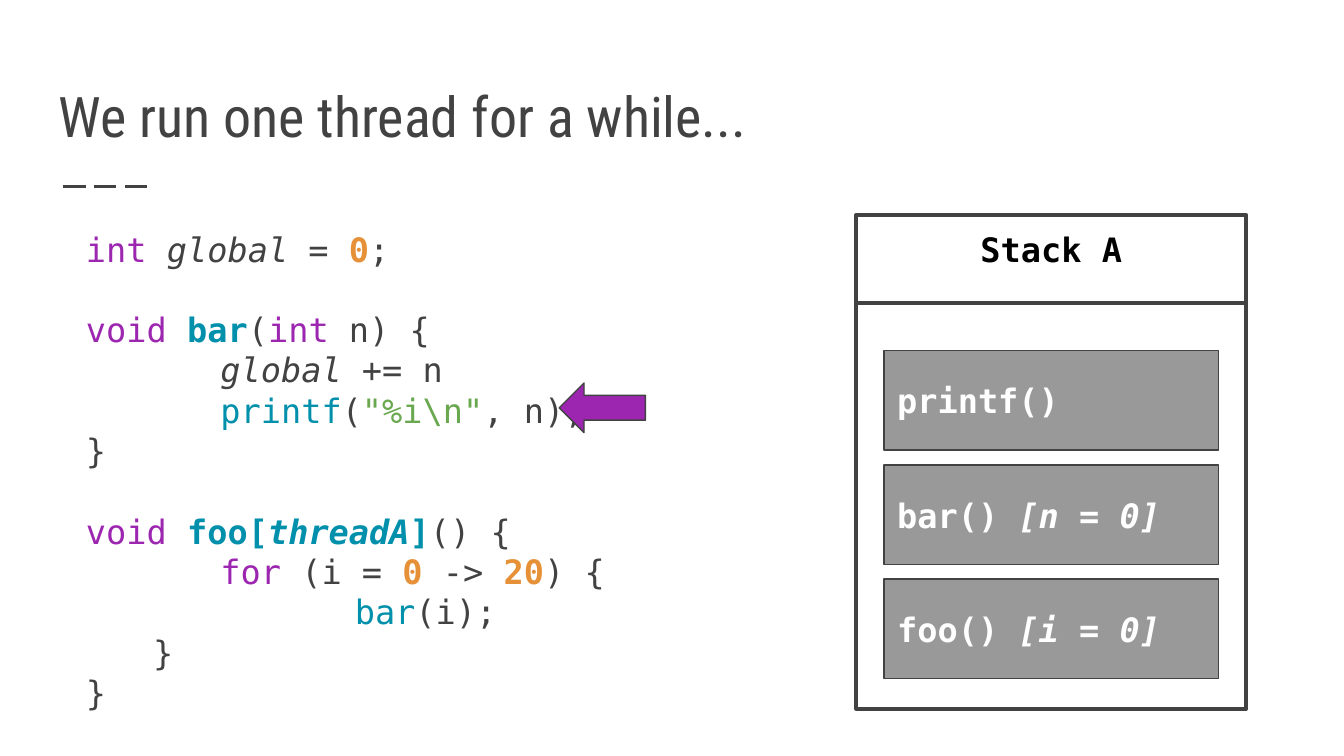
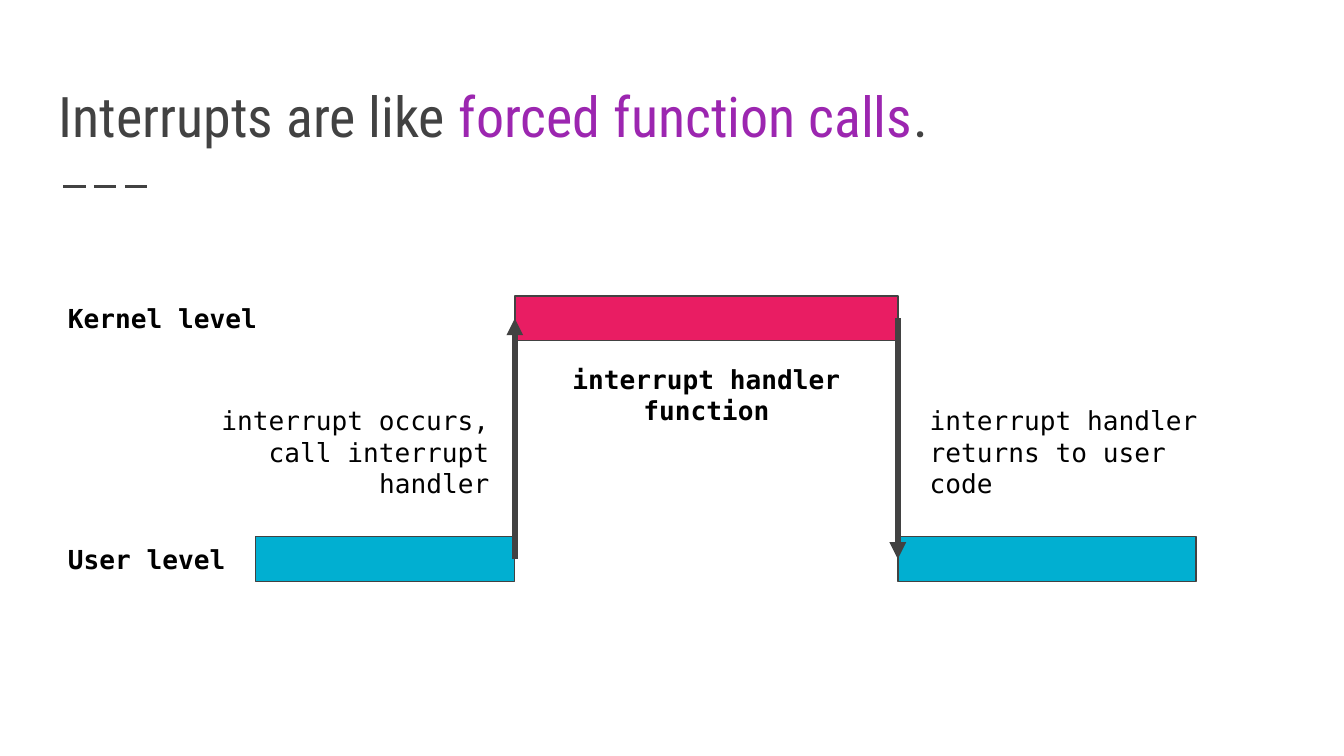
from dataclasses import dataclass
from typing import NamedTuple

from lxml import etree
from pptx import Presentation
from pptx import util as u
from pptx.dml.color import RGBColor
from pptx.enum import dml, shapes, text
from pptx.oxml import ns

# Shared look
INK, BLACK, WHITE, GREY = "424242", "000000", "FFFFFF", "999999"
PURPLE, TEAL, ORANGE, GREEN = "9C26B0", "0090AC", "E69138", "6AA84F"
CYAN, PINK = "01AFD1", "E91D63"
MONO, TITLE_FONT = "DejaVu Sans Mono", "Roboto Condensed"
INSET = 7.2
LINE_RATIO = 1.2
TAB = 72
LEFT, CENTER, RIGHT = text.PP_ALIGN.LEFT, text.PP_ALIGN.CENTER, text.PP_ALIGN.RIGHT
TOP, MIDDLE, BOTTOM = text.MSO_ANCHOR.TOP, text.MSO_ANCHOR.MIDDLE, text.MSO_ANCHOR.BOTTOM
RECT = shapes.MSO_SHAPE.RECTANGLE


class Run(NamedTuple):
    words: str
    color: str = INK
    bold: bool = False
    italic: bool = False


class Box(NamedTuple):
    left: float
    top: float
    width: float
    height: float


@dataclass
class Line:
    runs: list[Run]
    tabs: float = 0
    gap: bool = False  # leaves one line free above


@dataclass
class Style:
    size: float = 14
    font: str = MONO
    align: text.PP_ALIGN = LEFT
    anchor: text.MSO_ANCHOR = TOP
    left_inset: float = INSET


@dataclass
class Note:
    box: Box
    run: Run
    style: Style


def rgb(color: str) -> RGBColor:
    return RGBColor.from_string(color)


def write(shape, lines: list[Line], style: Style) -> None:
    frame = shape.text_frame
    frame.word_wrap = True
    frame.vertical_anchor = style.anchor
    frame.margin_left = u.Pt(style.left_inset)
    frame.margin_right = frame.margin_top = frame.margin_bottom = u.Pt(INSET)
    for index, line in enumerate(lines):
        paragraph = frame.add_paragraph() if index else frame.paragraphs[0]
        paragraph.alignment = style.align
        if style.font == MONO:
            paragraph.line_spacing = u.Pt(style.size * LINE_RATIO)
        if line.gap:
            paragraph.space_before = u.Pt(style.size * LINE_RATIO)
        if line.tabs:
            paragraph._p.get_or_add_pPr().set("marL", str(u.Pt(line.tabs * TAB)))
        for part in line.runs:
            run = paragraph.add_run()
            run.text = part.words
            run.font.name, run.font.size = style.font, u.Pt(style.size)
            run.font.bold, run.font.italic = part.bold, part.italic
            run.font.color.rgb = rgb(part.color)


def add_text(slide, box: Box, lines: list[Line], style: Style) -> None:
    write(slide.shapes.add_textbox(*map(u.Pt, box)), lines, style)


def add_block(slide, box: Box, fill: str, weight: float = 0.75, kind=RECT):
    block = slide.shapes.add_shape(kind, *map(u.Pt, box))
    block.shadow.inherit = False
    block.fill.solid()
    block.fill.fore_color.rgb = rgb(fill)
    block.line.color.rgb = rgb(INK)
    block.line.width = u.Pt(weight)
    return block


def add_line(slide, start: tuple[float, float], end: tuple[float, float],
             weight: float, arrow: bool = False):
    line = slide.shapes.add_connector(
        shapes.MSO_CONNECTOR.STRAIGHT, *map(u.Pt, (*start, *end)))
    line.line.color.rgb = rgb(INK)
    line.line.width = u.Pt(weight)
    if arrow:
        etree.SubElement(line.line._get_or_add_ln(), ns.qn("a:tailEnd"), type="triangle")
    etree.SubElement(line._element.spPr, ns.qn("a:effectLst"))
    return line


def start_slide(deck, title: list[Run]):
    slide = deck.slides.add_slide(deck.slide_layouts[6])
    rule = add_line(slide, (33.8, 100), (82, 100), 1.5)
    rule.line.dash_style = dml.MSO_LINE.LONG_DASH
    add_text(slide, Box(24.5, 29.5, 671, 57.6), [Line(title)],
             Style(30, TITLE_FONT, anchor=BOTTOM))
    return slide


CODE = [
    Line([Run("int ", PURPLE), Run("global ", italic=True), Run("= "),
          Run("0", ORANGE, True), Run(";")]),
    Line([Run("void ", PURPLE), Run("bar", TEAL, True), Run("("),
          Run("int", PURPLE), Run(" n) {")], gap=True),
    Line([Run("global", italic=True), Run(" += n")], tabs=1),
    Line([Run("printf", TEAL), Run("("), Run('"%i\\n"', GREEN), Run(", n);")], tabs=1),
    Line([Run("}")]),
    Line([Run("void ", PURPLE), Run("foo[", TEAL, True), Run("threadA", TEAL, True, True),
          Run("]", TEAL, True), Run("() {")], gap=True),
    Line([Run("for", PURPLE), Run(" (i = "), Run("0", ORANGE, True), Run(" -> "),
          Run("20", ORANGE, True), Run(") {")], tabs=1),
    Line([Run("bar", TEAL), Run("(i);")], tabs=2),
    Line([Run("}")], tabs=0.5),
    Line([Run("}")]),
]

# Stack frames, newest first: call and its variables
FRAMES = [("printf()", ""), ("bar() ", "[n = 0]"), ("foo() ", "[i = 0]")]


def build_thread_slide(deck) -> None:
    slide = start_slide(deck, [Run("We run one thread for a while...")])
    add_text(slide, Box(24.5, 115.2, 321, 273.6), CODE, Style(18, left_inset=21.6))

    # Stack with its heading
    stack = add_block(slide, Box(458.8, 115.2, 208.8, 264.5), WHITE, 2.25)
    write(stack, [Line([Run("Stack A", BLACK, True)])], Style(18, align=CENTER))
    add_line(slide, (459, 162.2), (667, 162.2), 2.25)

    # Current instruction
    add_block(slide, Box(299.6, 205.2, 46.2, 26.6), PURPLE,
              kind=shapes.MSO_SHAPE.LEFT_ARROW)

    # Stack frames
    for row, (call, variables) in enumerate(FRAMES):
        frame = add_block(slide, Box(473.5, 187.9 + row * 61.2, 179.3, 53.3), GREY)
        runs = [Run(call, WHITE, True)]
        if variables:
            runs.append(Run(variables, WHITE, True, True))
        write(frame, [Line(runs)], Style(18, anchor=MIDDLE))


def build_interrupt_slide(deck) -> None:
    slide = start_slide(deck, [Run("Interrupts are like "),
                               Run("forced function calls", PURPLE), Run(".")])
    # Time runs left to right, levels lie one above the other
    begin, call, back, finish = 136.8, 275.8, 481, 640.8
    kernel, user, band = 158.6, 287.5, 24
    kernel_mid, user_mid = kernel + band / 2, user + band / 2

    for left, right, top, fill in ((begin, call, user, CYAN), (back, finish, user, CYAN),
                                   (call, back, kernel, PINK)):
        add_block(slide, Box(left, top, right - left, band), fill)

    add_line(slide, (call, user_mid), (call, kernel_mid), 3, arrow=True)
    add_line(slide, (back, kernel_mid), (back, user_mid), 3, arrow=True)

    # Level names and explanations
    level = Style(anchor=MIDDLE)
    notes = [
        Note(Box(29.3, user, 101, band), Run("User level", BLACK, True), level),
        Note(Box(29.3, kernel, 129, band), Run("Kernel level", BLACK, True), level),
        Note(Box(109.4, 209.5, 160, 51),
             Run("interrupt occurs, call interrupt handler", BLACK), Style(align=RIGHT)),
        Note(Box(491, 209.5, 160, 51),
             Run("interrupt handler returns to user code", BLACK), Style()),
        Note(Box(298.5, 187.2, 160, 51),
             Run("interrupt handler function", BLACK, True), Style(align=CENTER)),
    ]
    for note in notes:
        add_text(slide, note.box, [Line([note.run])], note.style)


def main() -> None:
    deck = Presentation()
    deck.slide_width, deck.slide_height = u.Pt(720), u.Pt(405)
    build_thread_slide(deck)
    build_interrupt_slide(deck)
    deck.save("out.pptx")


if __name__ == "__main__":
    main()
